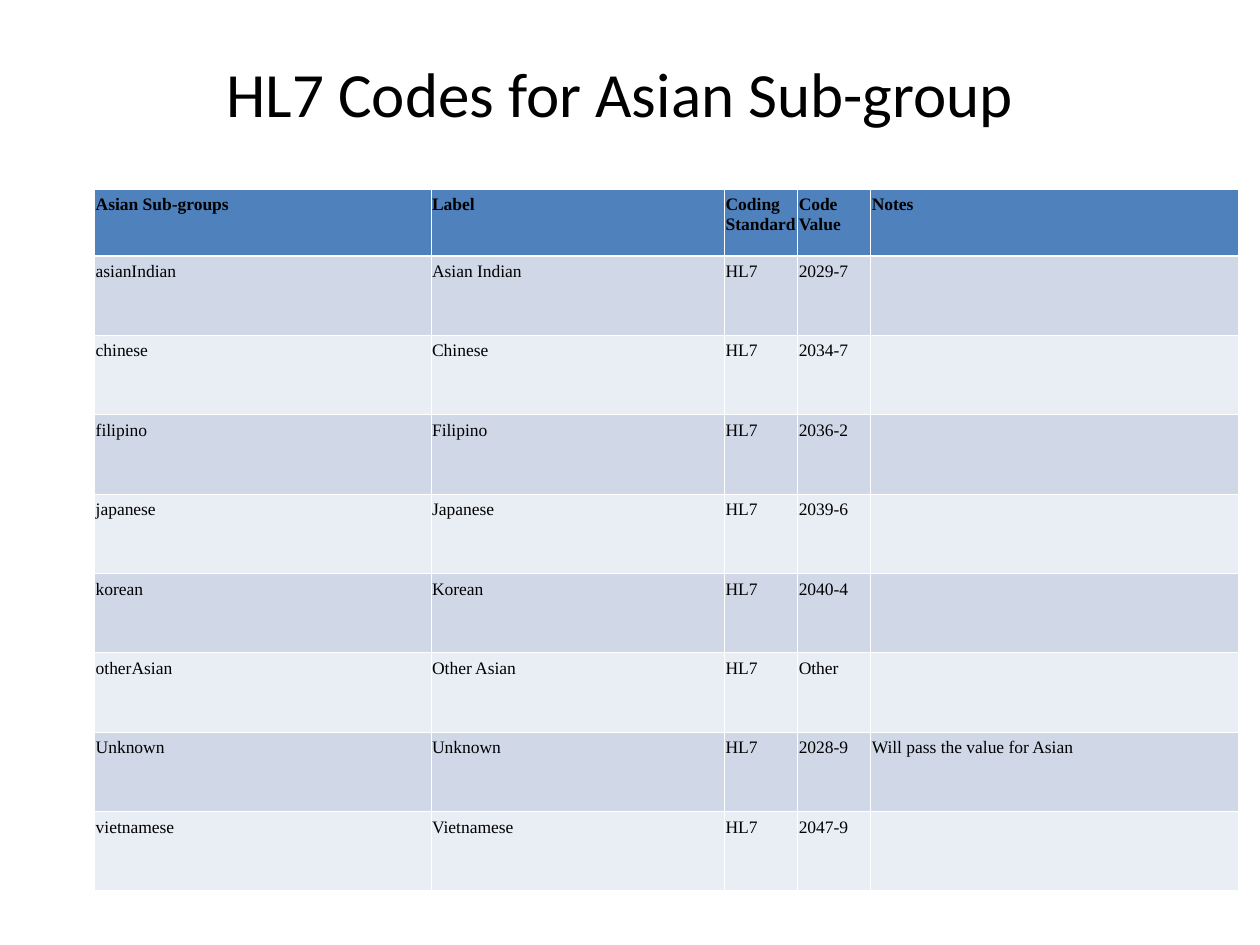
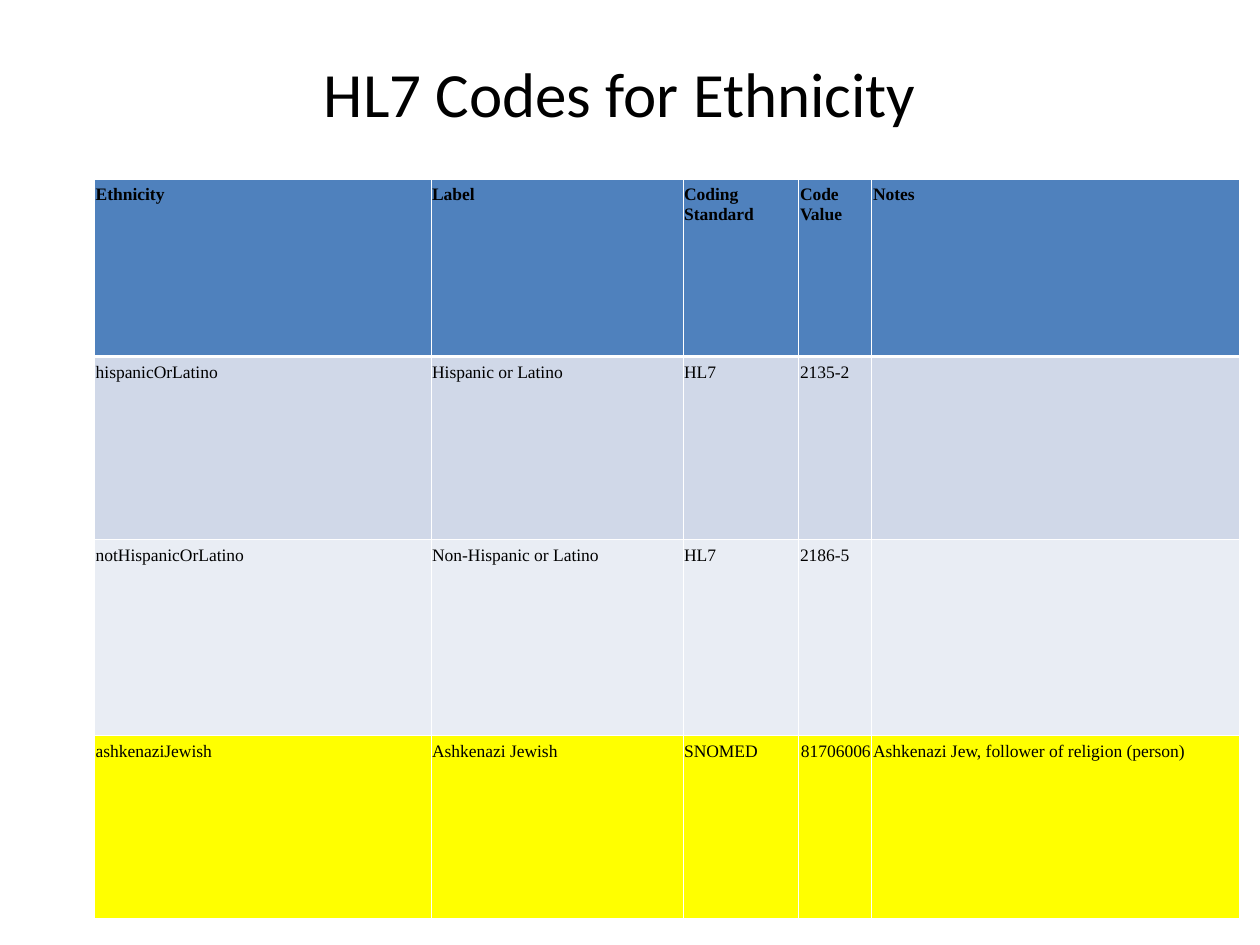
from lxml import etree
from pptx import Presentation
from pptx.dml.color import RGBColor
from pptx.enum.text import MSO_ANCHOR, PP_ALIGN
from pptx.oxml.ns import qn
from pptx.util import Inches, Pt

# Shared look
BLACK, WHITE = "000000", "FFFFFF"
HEADER, BANDS, HIGHLIGHT = "4F81BD", ("D0D8E8", "E9EDF4"), "FFFF00"
THIN, THICK = Pt(0.45), Pt(1.47)
SHARED_HEADINGS = ["Label", "Coding Standard", "Code Value", "Notes"]


def add_run(paragraph, text, font_name, size, bold=False):
    run = paragraph.add_run()
    run.text = text
    run.font.name = font_name
    run.font.size = Pt(size)
    run.font.bold = bold
    run.font.color.rgb = RGBColor.from_string(BLACK)


def add_borders(cell, **widths):
    properties = cell._tc.get_or_add_tcPr()
    for side, width in widths.items():
        line = etree.SubElement(properties, qn(f"a:ln{side}"), w=str(width))
        fill = etree.SubElement(line, qn("a:solidFill"))
        etree.SubElement(fill, qn("a:srgbClr"), val=WHITE)


# Content: (name, label, standard, code, notes)
code_slides = [
    {
        "title": "HL7 Codes for Asian Sub-group",
        "subject": "Asian Sub-groups",
        "top": 1.5,
        "columns": [2.67, 2.33, 0.58, 0.58, 2.92],
        "heights": [0.53] + [0.63] * 8,
        "codes": [
            ("asianIndian", "Asian Indian", "HL7", "2029-7", ""),
            ("chinese", "Chinese", "HL7", "2034-7", ""),
            ("filipino", "Filipino", "HL7", "2036-2", ""),
            ("japanese", "Japanese", "HL7", "2039-6", ""),
            ("korean", "Korean", "HL7", "2040-4", ""),
            ("otherAsian", "Other Asian", "HL7", "Other", ""),
            ("Unknown", "Unknown", "HL7", "2028-9", "Will pass the value for Asian"),
            ("vietnamese", "Vietnamese", "HL7", "2047-9", ""),
        ],
    },
    {
        "title": "HL7 Codes for Ethnicity",
        "subject": "Ethnicity",
        "top": 1.42,
        "columns": [2.67, 2, 0.92, 0.58, 2.92],
        "heights": [1.41, 1.45, 1.56, 1.45],
        "codes": [
            ("hispanicOrLatino", "Hispanic or Latino", "HL7", "2135-2", ""),
            ("notHispanicOrLatino", "Non-Hispanic or Latino", "HL7", "2186-5", ""),
            ("ashkenaziJewish", "Ashkenazi Jewish", "SNOMED", "81706006",
             "Ashkenazi Jew, follower of religion (person)"),
        ],
    },
]

prs = Presentation()
prs.slide_width, prs.slide_height = Inches(10), Inches(7.5)

for content in code_slides:
    slide = prs.slides.add_slide(prs.slide_layouts[5])

    # Title
    title = slide.shapes.title
    title.left, title.top = Inches(0.17), Inches(0.3)
    title.width, title.height = Inches(9.5), Inches(0.87)
    title.text_frame.vertical_anchor = MSO_ANCHOR.MIDDLE
    heading = title.text_frame.paragraphs[0]
    heading.alignment = PP_ALIGN.CENTER
    add_run(heading, content["title"], "Calibri", 36)

    # Code table
    rows = [[content["subject"]] + SHARED_HEADINGS] + content["codes"]
    columns, heights = content["columns"], content["heights"]
    table = slide.shapes.add_table(
        len(rows), len(columns), Inches(0.75), Inches(content["top"]),
        Inches(sum(columns)), Inches(sum(heights))).table
    for column, width in zip(table.columns, columns):
        column.width = Inches(width)

    for r, row in enumerate(rows):
        table.rows[r].height = Inches(heights[r])
        is_header = r == 0
        is_snomed = "SNOMED" in row
        if is_header:
            row_fill = HEADER
        elif is_snomed:
            row_fill = HIGHLIGHT
        else:
            row_fill = BANDS[(r - 1) % 2]

        for c, text in enumerate(row):
            cell = table.cell(r, c)
            cell.margin_left = cell.margin_right = Inches(0.01)
            cell.margin_top = cell.margin_bottom = Inches(0.05)
            add_borders(cell, L=THIN, R=THIN, T=THICK if r == 1 else THIN,
                        B=THICK if is_header else THIN)
            cell.fill.solid()
            cell.fill.fore_color.rgb = RGBColor.from_string(row_fill)
            if text:
                paragraph = cell.text_frame.paragraphs[0]
                if is_snomed and text.isdigit():
                    paragraph.alignment = PP_ALIGN.RIGHT
                add_run(paragraph, text, "Times New Roman", 10, bold=is_header)

prs.save("out.pptx")
